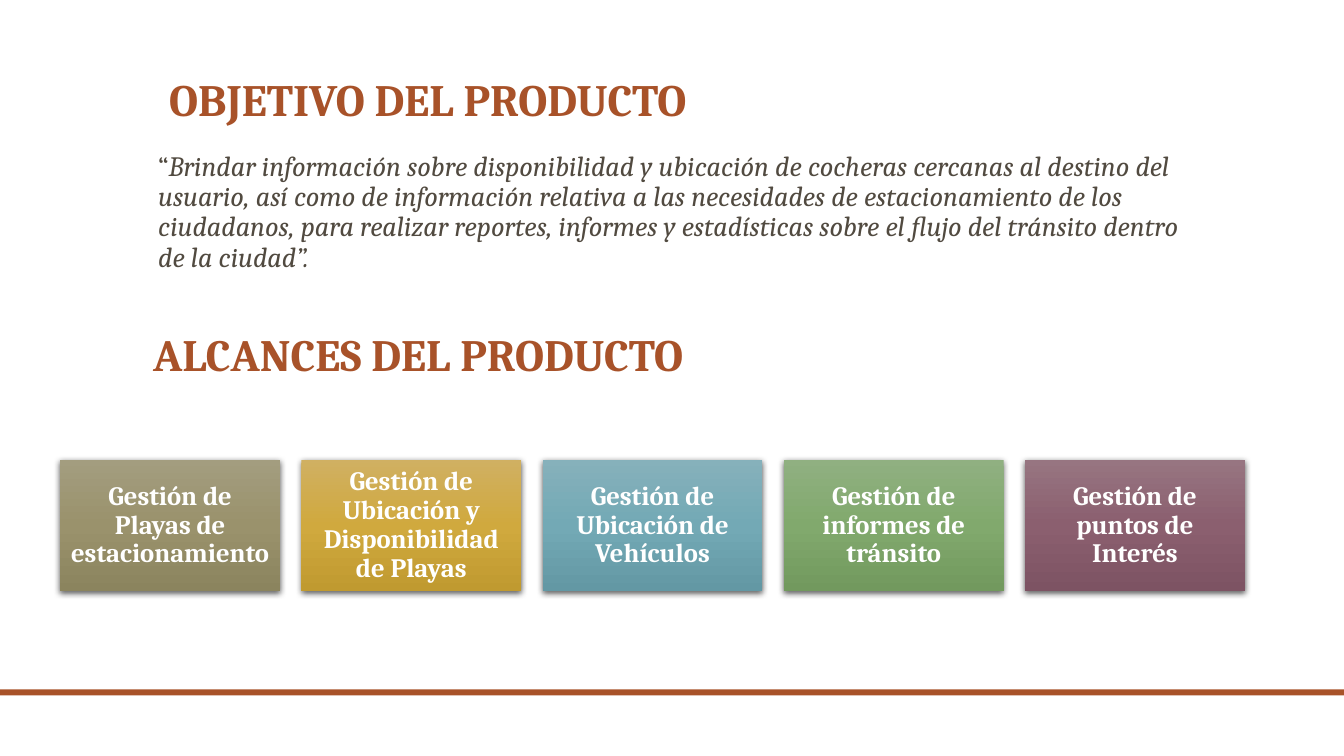
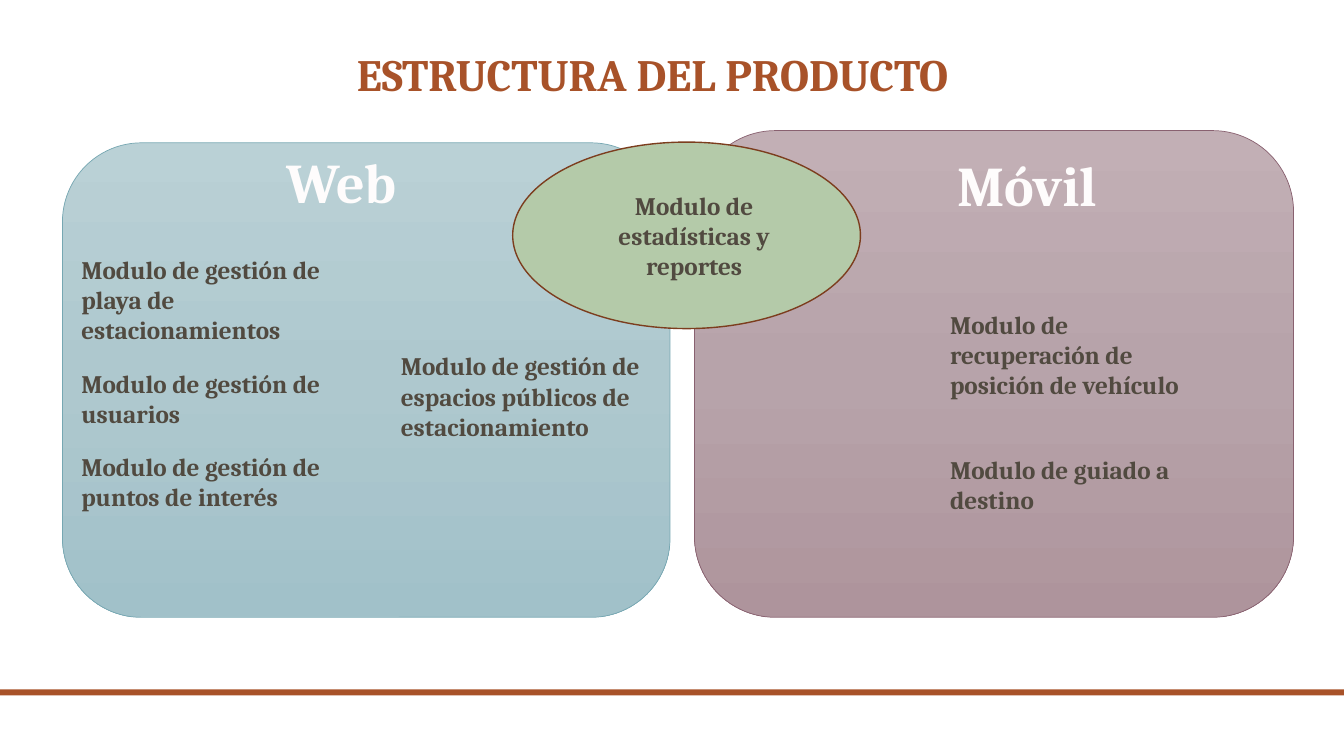
from typing import NamedTuple

from lxml.etree import SubElement as Sub
from pptx import Presentation
from pptx.dml.color import RGBColor as RGB
from pptx.enum.shapes import MSO_SHAPE as Kind
from pptx.enum.text import MSO_ANCHOR as Anchor, MSO_AUTO_SIZE as Fit, PP_ALIGN as Align
from pptx.oxml.ns import qn
from pptx.shapes.autoshape import Shape
from pptx.slide import Slide
from pptx.text.text import TextFrame
from pptx.util import Pt

FONT = "Cambria"
RUST = RGB(0xA8, 0x52, 0x29)
BROWN = RGB(0x7C, 0x3D, 0x1E)
INK = RGB(0x51, 0x4A, 0x40)
WHITE = RGB(0xFF, 0xFF, 0xFF)
PEARL = RGB(0xFE, 0xFC, 0xFC)
BLACK = RGB(0x00, 0x00, 0x00)
SAGE = RGB(0xB4, 0xCA, 0xA9)
TEAL = RGB(0x76, 0xA7, 0xB2)
PLUM = RGB(0x89, 0x61, 0x70)

OLIVES = (RGB(0xA3, 0x9D, 0x7F), RGB(0x9A, 0x92, 0x6C), RGB(0x8B, 0x84, 0x5E))
GOLDS = (RGB(0xD0, 0xB0, 0x62), RGB(0xD0, 0xA9, 0x3E), RGB(0xC0, 0x9A, 0x30))
TEALS = (RGB(0x86, 0xB1, 0xBB), RGB(0x73, 0xA9, 0xB5), RGB(0x63, 0x98, 0xA4))
GREENS = (RGB(0x90, 0xB0, 0x81), RGB(0x81, 0xA9, 0x6D), RGB(0x72, 0x99, 0x5E))
PLUMS = (RGB(0x97, 0x75, 0x81), RGB(0x8B, 0x5F, 0x6F), RGB(0x7D, 0x53, 0x63))
PALE_TEALS = (RGB(0xBA, 0xD1, 0xD6), RGB(0xAE, 0xC8, 0xCE), RGB(0xA1, 0xC1, 0xC9))
PALE_PLUMS = (RGB(0xC2, 0xAF, 0xB5), RGB(0xB7, 0xA3, 0xAA), RGB(0xAE, 0x94, 0x9C))

Stops = tuple[RGB, RGB, RGB]


class Box(NamedTuple):
    x: float
    y: float
    w: float
    h: float


class Style(NamedTuple):
    size: float
    color: RGB
    bold: bool = True
    align: Align = Align.LEFT
    lead: float = 1.0


class Card(NamedTuple):
    text: str
    stops: Stops


class Panel(NamedTuple):
    box: Box
    stops: Stops
    edge: RGB
    name: str
    head: Box


class Note(NamedTuple):
    text: str
    box: Box


HEAD = Style(32, RUST, lead=0.9)
QUOTE = Style(20, INK, bold=False, lead=0.9)
CARD = Style(19, WHITE, align=Align.CENTER, lead=0.9)
NOTE = Style(18, INK)
HUB = Style(18, INK, align=Align.CENTER)
NAME = Style(40, PEARL, align=Align.CENTER)

BAND = Box(0, 492.5, 960, 4.3)
FIRST = Box(43, 328.3, 157, 94)
STEP = 172.3

CARDS = (
    Card("Gestión de Playas de estacionamiento", OLIVES),
    Card("Gestión de Ubicación y Disponibilidad de Playas", GOLDS),
    Card("Gestión de Ubicación de Vehículos", TEALS),
    Card("Gestión de informes de tránsito", GREENS),
    Card("Gestión de puntos de Interés", PLUMS),
)
PANELS = (
    Panel(Box(44.6, 102, 434, 339), PALE_TEALS, TEAL, "Web", Box(195.8, 102.2, 96.5, 55.4)),
    Panel(Box(496, 93.3, 428, 347.7), PALE_PLUMS, PLUM, "Móvil", Box(675, 104.2, 117.4, 55.4)),
)
NOTES = (
    Note("Modulo de gestión de playa de estacionamientos", Box(51, 178, 186, 73)),
    Note("Modulo de gestión de usuarios", Box(51, 259.4, 219, 51)),
    Note("Modulo de gestión de puntos de interés", Box(51, 318.8, 198, 51)),
    Note("Modulo de gestión de espacios públicos de estacionamiento", Box(279.2, 247, 186, 73)),
    Note("Modulo de recuperación de posición de vehículo", Box(671.5, 217.3, 198, 73)),
    Note("Modulo de guiado a destino", Box(671.5, 320.7, 198, 51)),
)


def write(frame: TextFrame, style: Style, *runs: str, slant: int = -1) -> None:
    para = frame.paragraphs[0]
    para.alignment = style.align
    para.line_spacing = style.lead
    para.space_before = Pt(0)
    for idx, text in enumerate(runs):
        run = para.add_run()
        run.text = text
        font = run.font
        font.name = FONT
        font.size = Pt(style.size)
        font.bold = style.bold
        font.italic = idx == slant
        font.color.rgb = style.color


def label(slide: Slide, box: Box, style: Style, *runs: str,
          slant: int = -1, wrap: bool = True) -> TextFrame:
    frame = slide.shapes.add_textbox(*map(Pt, box)).text_frame
    frame.word_wrap = wrap
    write(frame, style, *runs, slant=slant)
    return frame


def title(slide: Slide, box: Box, text: str) -> None:
    shape = slide.shapes.title
    shape.left, shape.top, shape.width, shape.height = map(Pt, box)
    frame = shape.text_frame
    frame.auto_size = Fit.NONE
    frame.vertical_anchor = Anchor.BOTTOM
    write(frame, HEAD, text)


def block(slide: Slide, kind: Kind, box: Box, fill: RGB | Stops,
          edge: RGB | None = None, width: float = 0) -> Shape:
    shape = slide.shapes.add_shape(kind, *map(Pt, box))
    shape.shadow.inherit = False
    if isinstance(fill, RGB):
        shape.fill.solid()
        shape.fill.fore_color.rgb = fill
    else:
        blend(shape, fill)
    if edge is None:
        shape.line.fill.background()
    else:
        shape.line.color.rgb = edge
        shape.line.width = Pt(width)
    return shape


def blend(shape: Shape, stops: Stops) -> None:
    shape.fill.gradient()
    shape.fill.gradient_angle = 270
    items = shape.element.spPr.find(f"{qn('a:gradFill')}/{qn('a:gsLst')}")
    items.clear()
    for idx, color in enumerate(stops):
        stop = Sub(items, qn("a:gs"), pos=str(idx * 50000))
        Sub(stop, qn("a:srgbClr"), val=str(color))


def shade(shape: Shape) -> None:
    effects = shape.element.spPr.find(qn("a:effectLst"))
    cast = Sub(effects, qn("a:outerShdw"), blurRad=str(Pt(4.5)), dist=str(Pt(1.5)),
               dir="5400000", algn="ctr", rotWithShape="0")
    color = Sub(cast, qn("a:srgbClr"), val=str(BLACK))
    Sub(color, qn("a:alpha"), val="63000")


def scope(slide: Slide) -> None:
    title(slide, Box(102.2, 224, 756, 51.8), "ALCANCES DEL PRODUCTO")
    goal = label(slide, Box(113.8, 41.8, 756, 51.8), HEAD, "OBJETIVO DEL PRODUCTO")
    goal.vertical_anchor = Anchor.BOTTOM
    quote = label(
        slide, Box(102.2, 105.1, 756, 104.4), QUOTE, "“",
        "Brindar información sobre disponibilidad y ubicación de cocheras cercanas "
        "al destino del usuario, así como de información relativa a las necesidades "
        "de estacionamiento de los ciudadanos, para realizar reportes, informes y "
        "estadísticas sobre el flujo del tránsito dentro de la ciudad”.", slant=1)
    quote.margin_left = Pt(10.8)
    for idx, card in enumerate(CARDS):
        box = FIRST._replace(x=FIRST.x + idx * STEP)
        shape = block(slide, Kind.RECTANGLE, box, card.stops)
        shade(shape)
        frame = shape.text_frame
        frame.word_wrap = True
        frame.vertical_anchor = Anchor.MIDDLE
        frame.margin_left = frame.margin_right = Pt(5.7)
        frame.margin_top = frame.margin_bottom = Pt(5.7)
        write(frame, CARD, card.text)


def layers(slide: Slide) -> None:
    title(slide, Box(247.7, 23.8, 462.2, 51.8), "ESTRUCTURA DEL PRODUCTO")
    for panel in PANELS:
        block(slide, Kind.ROUNDED_RECTANGLE, panel.box, panel.stops, panel.edge, 0.5)
        label(slide, panel.head, NAME, panel.name, wrap=False)
    hub = block(slide, Kind.OVAL, Box(366.2, 101.5, 248.4, 133.2), SAGE, BROWN, 1)
    frame = hub.text_frame
    frame.word_wrap = True
    frame.vertical_anchor = Anchor.MIDDLE
    frame.margin_left, frame.margin_right = Pt(14.4), Pt(3.6)
    write(frame, HUB, "Modulo de estadísticas y reportes")
    for note in NOTES:
        label(slide, note.box, NOTE, note.text)


def main() -> None:
    deck = Presentation()
    deck.slide_width, deck.slide_height = Pt(960), Pt(540)
    base = deck.slide_layouts[5]
    first = deck.slides.add_slide(base)
    band = block(first, Kind.RECTANGLE, BAND, RUST)
    base.shapes.element.append(band.element)
    scope(first)
    layers(deck.slides.add_slide(base))
    deck.save("out.pptx")


if __name__ == "__main__":
    main()
